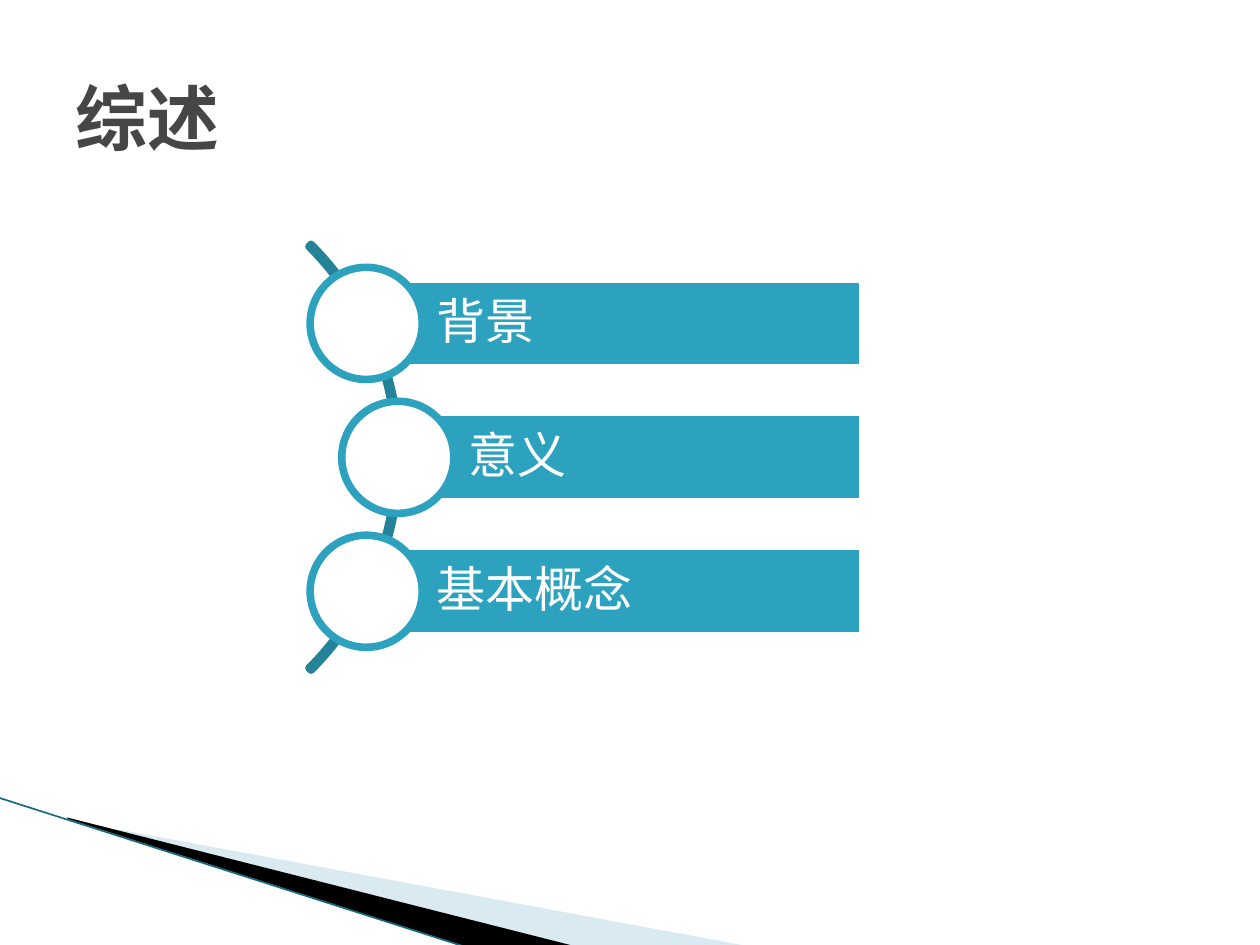
"""Build an overview slide with three topics strung along an arc."""
import dataclasses
import math
from typing import Optional

import lxml.etree
import pptx
import pptx.dml.color
import pptx.enum.lang
import pptx.enum.shapes
import pptx.enum.text
import pptx.oxml.ns
import pptx.util

Cm = pptx.util.Cm
Pt = pptx.util.Pt
Shape = pptx.enum.shapes.MSO_SHAPE
qn = pptx.oxml.ns.qn

FONT = "Courier New"
TEAL, DARK_TEAL, WHITE = "2DA2BF", "248299", "FFFFFF"
OUTLINE = 4.33
CENTER_X, CENTER_Y, RADIUS = 1.98, 9.22, 6.07
TRACK = 6.04
PITCH, BAR_HEIGHT, BAR_RIGHT, DIAMETER = 2.7, 1.8, 17.4, 2.26


@dataclasses.dataclass
class Topic:
    text: str
    step: int


@dataclasses.dataclass
class Wedge:
    points: list[tuple[float, float]]
    color: str
    alpha: Optional[int] = None


TOPICS = [Topic("背景", -1), Topic("意义", 0), Topic("基本概念", 1)]
WEDGES = [
    Wedge([(1.4, 16.54), (15.11, 19.08), (11.58, 19.08), (1.4, 16.51)], "A0CBDC", 40),
    Wedge([(1.35, 16.48), (11.61, 19.08), (9.45, 19.1), (1.37, 16.51)], "000000"),
]


def rgb(value: str) -> pptx.dml.color.RGBColor:
    return pptx.dml.color.RGBColor.from_string(value)


def paint(sp, fill: Optional[str], line: Optional[str], width: float = OUTLINE) -> None:
    sp.shadow.inherit = False
    if fill:
        sp.fill.solid()
        sp.fill.fore_color.rgb = rgb(fill)
    else:
        sp.fill.background()
    if line:
        sp.line.color.rgb = rgb(line)
        sp.line.width = Pt(width)
    else:
        sp.line.fill.background()


def write(sp, text: str, color: str, frame: dict, font: dict) -> None:
    tf = sp.text_frame
    base = {"word_wrap": True, "vertical_anchor": pptx.enum.text.MSO_ANCHOR.MIDDLE}
    for name, value in (base | frame).items():
        setattr(tf, name, value)
    p = tf.paragraphs[0]
    p.alignment = pptx.enum.text.PP_ALIGN.LEFT
    r = p.add_run()
    r.text = text
    lang = pptx.enum.lang.MSO_LANGUAGE_ID.SIMPLIFIED_CHINESE
    for name, value in ({"name": FONT, "language_id": lang} | font).items():
        setattr(r.font, name, value)
    r.font.color.rgb = rgb(color)


def add_wedge(s, wedge: Wedge) -> None:
    points = [(Cm(x), Cm(y)) for x, y in wedge.points]
    builder = s.shapes.build_freeform(*points[0])
    builder.add_line_segments(points[1:])
    sp = builder.convert_to_shape()
    paint(sp, wedge.color, None)
    if wedge.alpha:
        color = sp.fill._xPr.find(qn("a:solidFill"))[0]
        lxml.etree.SubElement(color, qn("a:alpha")).set("val", str(wedge.alpha * 1000))


def add_edge(s) -> None:
    line = s.shapes.add_connector(
        pptx.enum.shapes.MSO_CONNECTOR.STRAIGHT, Cm(-0.03), Cm(16.08), Cm(9.42), Cm(19.1))
    line.line.color.rgb = rgb("16697F")
    line.line.width = Pt(0.95)
    lxml.etree.SubElement(line._element.spPr, qn("a:effectLst"))


def add_arc(s) -> None:
    sp = s.shapes.add_shape(Shape.BLOCK_ARC, Cm(CENTER_X - RADIUS), Cm(CENTER_Y - RADIUS),
                            Cm(2 * RADIUS), Cm(2 * RADIUS))
    for i, value in enumerate((189, 27, 0.005)):
        sp.adjustments[i] = value
    paint(sp, None, DARK_TEAL)


def add_topic(s, topic: Topic) -> None:
    offset = topic.step * PITCH
    x = CENTER_X + math.sqrt(TRACK ** 2 - offset ** 2)
    y = CENTER_Y + offset
    bar = s.shapes.add_shape(Shape.RECTANGLE, Cm(x), Cm(y - BAR_HEIGHT / 2),
                             Cm(BAR_RIGHT - x), Cm(BAR_HEIGHT))
    paint(bar, TEAL, WHITE)
    margins = {f"margin_{side}": Cm(0.2) for side in ("top", "right", "bottom")}
    write(bar, topic.text, WHITE, margins | {"margin_left": Cm(1.42)}, {"size": Pt(28)})
    bar.text_frame.paragraphs[0].line_spacing = 0.9
    circle = s.shapes.add_shape(Shape.OVAL, Cm(x - DIAMETER / 2), Cm(y - DIAMETER / 2),
                                Cm(DIAMETER), Cm(DIAMETER))
    paint(circle, WHITE, TEAL)


def main() -> None:
    prs = pptx.Presentation()
    prs.slide_width, prs.slide_height = Cm(25.4), Cm(19.05)
    s = prs.slides.add_slide(prs.slide_layouts[6])
    for wedge in WEDGES:
        add_wedge(s, wedge)
    add_edge(s)
    title = s.shapes.add_textbox(Cm(1.27), Cm(0.76), Cm(22.86), Cm(3.18))
    write(title, "综述", "464646", {}, {"size": Pt(41), "bold": True})
    add_arc(s)
    for topic in TOPICS:
        add_topic(s, topic)
    prs.save("out.pptx")


if __name__ == "__main__":
    main()
